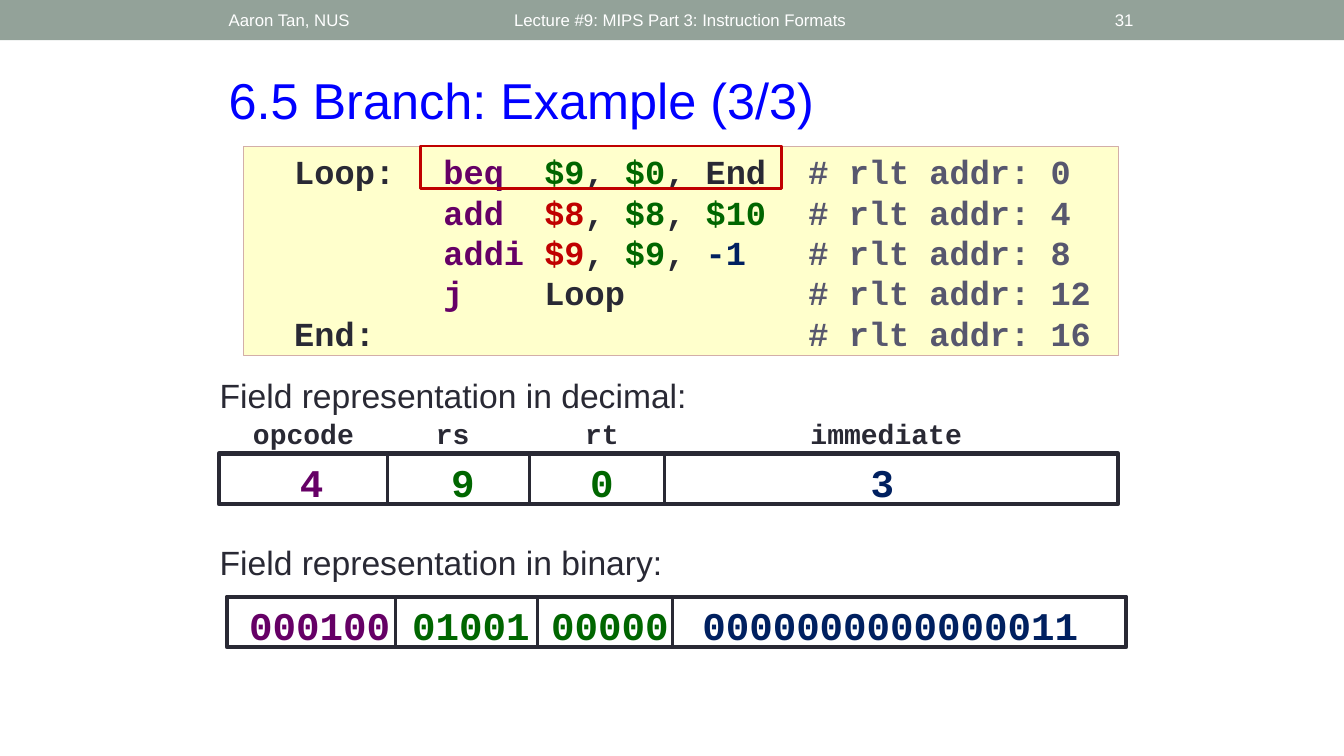
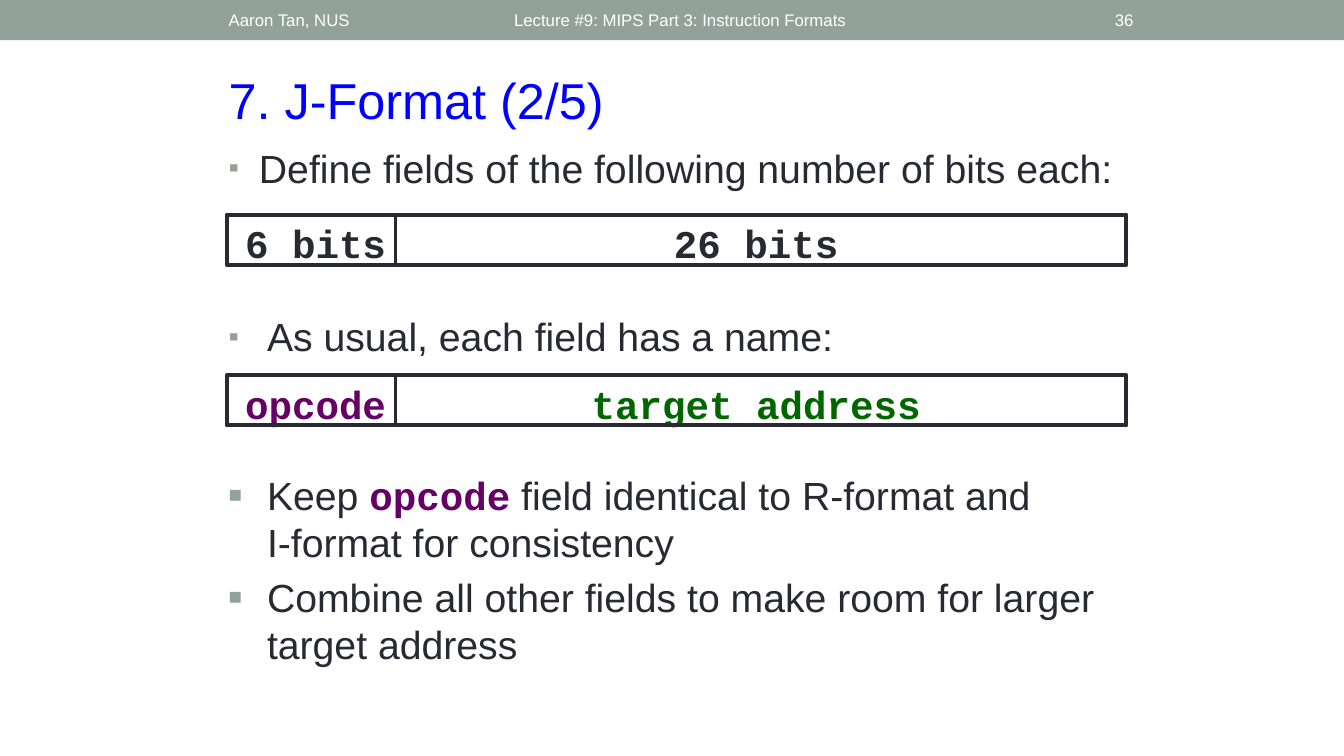
from lxml import etree
from pptx import Presentation
from pptx.dml.color import RGBColor
from pptx.enum.shapes import MSO_CONNECTOR, MSO_SHAPE
from pptx.enum.text import MSO_ANCHOR, PP_ALIGN
from pptx.oxml.ns import qn
from pptx.util import Inches, Pt

RECT = MSO_SHAPE.RECTANGLE
STRAIGHT = MSO_CONNECTOR.STRAIGHT
TOP, MIDDLE = MSO_ANCHOR.TOP, MSO_ANCHOR.MIDDLE
LEFT, CENTER, RIGHT = PP_ALIGN.LEFT, PP_ALIGN.CENTER, PP_ALIGN.RIGHT

COLORS = {
    "band": "93A299", "white": "FFFFFF", "title": "0000FF", "text": "292934",
    "code_bg": "FFFFCC", "code_line": "D3AEA8", "op": "660066",
    "source": "006600", "target": "C00000", "number": "002060",
    "comment": "57576E",
}
SANS, MONO = "Arial", "Courier New"
FIELD_LEFT, FIELD_WIDTH, FIELD_HEIGHT = 2.25, 8.92, 0.5
I_DIVIDERS = (1.67, 3.08, 4.42)
I_CENTERS = (0.92, 2.42, 3.8, 6.58)
J_DIVIDERS = (1.67,)
J_CENTERS = (0.88, 5.25)


def rgb(name):
    return RGBColor.from_string(COLORS[name])


class Deck:
    def __init__(self):
        self.prs = Presentation()
        self.prs.slide_width = Inches(13.33)
        self.prs.slide_height = Inches(7.5)
        self.s = None

    def slide(self, title, number):
        self.s = self.prs.slides.add_slide(self.prs.slide_layouts[6])
        self.rect(0, 0, 13.33, 0.4, fill="band")
        for x, w, text, align in (
            (5, 6, "Lecture #9: MIPS Part 3: Instruction Formats", LEFT),
            (2.17, 3.17, "Aaron Tan, NUS", LEFT),
            (10.39, 0.95, str(number), RIGHT),
        ):
            self.text(x, 0.02, w, 0.36, text, 12, "white", align=align, anchor=MIDDLE)
        self.text(2.17, 0.64, 9.17, 0.71, title, 36, "title")

    def rect(self, x, y, w, h, fill=None, line=None, weight=1):
        sp = self.s.shapes.add_shape(RECT, Inches(x), Inches(y), Inches(w), Inches(h))
        sp.shadow.inherit = False
        if fill:
            sp.fill.solid()
            sp.fill.fore_color.rgb = rgb(fill)
        else:
            sp.fill.background()
        if line:
            sp.line.color.rgb = rgb(line)
            sp.line.width = Pt(weight)
        else:
            sp.line.fill.background()
        return sp

    def line(self, x1, y1, x2, y2, weight=2.25):
        c = self.s.shapes.add_connector(
            STRAIGHT, Inches(x1), Inches(y1), Inches(x2), Inches(y2))
        c.line.color.rgb = rgb("text")
        c.line.width = Pt(weight)
        etree.SubElement(c._element.spPr, qn("a:effectLst"))

    def font(self, r, size, color, name=SANS, bold=False):
        r.font.size = Pt(size)
        r.font.name = name
        r.font.bold = bold
        r.font.color.rgb = rgb(color)

    def text(self, x, y, w, h, text, size, color="text", name=SANS, bold=False,
             align=LEFT, anchor=TOP, wrap=True):
        sp = self.s.shapes.add_textbox(Inches(x), Inches(y), Inches(w), Inches(h))
        tf = sp.text_frame
        tf.word_wrap = wrap
        tf.vertical_anchor = anchor
        tf.text = text
        p = tf.paragraphs[0]
        p.alignment = align
        self.font(p.runs[0], size, color, name, bold)

    def mono(self, center, y, text, size, color="text"):
        w = 0.2 + len(text) * size / 120
        self.text(center - w / 2, y, w, size / 60 + 0.1, text, size, color,
                  MONO, True, CENTER, wrap=False)

    def fields(self, y, dividers, centers, cells, left=FIELD_LEFT):
        for center, (text, color) in zip(centers, cells):
            self.mono(left + center, y, text, 28, color)
        self.rect(left, y, FIELD_WIDTH, FIELD_HEIGHT, line="text", weight=3)
        for x in dividers:
            self.line(left + x, y, left + x, y + FIELD_HEIGHT)

    def code(self, x, y, w, h, lines, tabs):
        sp = self.rect(x, y, w, h, "code_bg", "code_line", 0.75)
        tf = sp.text_frame
        tf.vertical_anchor = TOP
        for i, runs in enumerate(lines):
            p = tf.add_paragraph() if i else tf.paragraphs[0]
            p.alignment = LEFT
            tab_list = etree.SubElement(p._p.get_or_add_pPr(), qn("a:tabLst"))
            for pos in tabs:
                etree.SubElement(tab_list, qn("a:tab"), pos=str(Inches(pos)), algn="l")
            for text, color in runs:
                r = p.add_run()
                r.text = text
                self.font(r, 24, color, MONO, True)

    def bullets(self, y, h, items, indent=0.38, char="▪", percent=75):
        sp = self.s.shapes.add_textbox(Inches(2.17), Inches(y), Inches(9.08), Inches(h))
        tf = sp.text_frame
        tf.word_wrap = True
        for i, runs in enumerate(items):
            p = tf.add_paragraph() if i else tf.paragraphs[0]
            pPr = p._p.get_or_add_pPr()
            pPr.set("marL", str(Inches(indent)))
            pPr.set("indent", str(-Inches(indent)))
            clr = etree.SubElement(pPr, qn("a:buClr"))
            etree.SubElement(clr, qn("a:srgbClr"), val=COLORS["band"])
            etree.SubElement(pPr, qn("a:buSzPct"), val=str(percent * 1000))
            etree.SubElement(pPr, qn("a:buFont"), typeface=SANS)
            etree.SubElement(pPr, qn("a:buChar"), char=char)
            if i:
                p.space_before = Pt(5.6)
            for text, color, name in runs:
                if text == "\n":
                    p.add_line_break()
                    continue
                r = p.add_run()
                r.text = text
                self.font(r, 28, color, name, name == MONO)


def branch_slide(deck):
    deck.slide("6.5 Branch: Example (3/3)", 31)
    comma = (", ", "text")
    lines = [
        [("  Loop:\t", "text"), ("beq ", "op"), (" $9", "source"), comma,
         ("$0", "source"), (", End\t", "text")],
        [("\t", "text"), ("add  ", "op"), ("$8", "target"), comma,
         ("$8", "source"), comma, ("$10\t", "source")],
        [("\t", "text"), ("addi ", "op"), ("$9", "target"), comma,
         ("$9", "source"), comma, ("-1\t", "number")],
        [("\t", "text"), ("j", "op"), ("    Loop\t", "text")],
        [("  End:\t\t", "text")],
    ]
    for i, runs in enumerate(lines):
        runs.append((f"# rlt addr: {4 * i}", "comment"))
    deck.code(2.42, 1.45, 8.67, 2.08, lines, (1.88, 5.5))
    deck.rect(4.17, 1.45, 3.58, 0.42, line="target", weight=1.75)

    deck.text(2.08, 3.67, 6.08, 0.5, "Field representation in decimal:", 24)
    for center, name in ((3.01, "opcode"), (4.49, "rs"), (5.97, "rt"), (8.79, "immediate")):
        deck.mono(center, 4.08, name, 20)
    colors = ("op", "source", "source", "number")
    deck.fields(4.5, I_DIVIDERS, I_CENTERS, zip(("4", "9", "0", "3"), colors), left=2.17)

    deck.text(2.08, 5.33, 6.08, 0.5, "Field representation in binary:", 24)
    bits = ("000100", "01001", "00000", "0000000000000011")
    deck.fields(5.92, I_DIVIDERS, I_CENTERS, zip(bits, colors))


def jump_slide(deck):
    deck.slide("7. J-Format (2/5)", 36)
    deck.bullets(1.38, 0.67, [
        [("Define fields of the following number of bits each:", "text", SANS)],
    ], indent=0.3)
    deck.fields(2.13, J_DIVIDERS, J_CENTERS, (("6 bits", "text"), ("26 bits", "text")))
    deck.bullets(3.05, 0.58, [[("As usual, each field has a name:", "text", SANS)]])
    deck.fields(3.72, J_DIVIDERS, J_CENTERS,
                (("opcode", "op"), ("target address", "source")))
    deck.bullets(4.63, 2.12, [
        [("Keep ", "text", SANS), ("opcode", "op", MONO),
         (" field identical to R-format and", "text", SANS), ("\n", "text", SANS),
         ("I-format for consistency", "text", SANS)],
        [("Combine all other fields to make room for larger target address",
          "text", SANS)],
    ], char="■", percent=57)


def main():
    deck = Deck()
    branch_slide(deck)
    jump_slide(deck)
    deck.prs.save("out.pptx")


if __name__ == "__main__":
    main()
